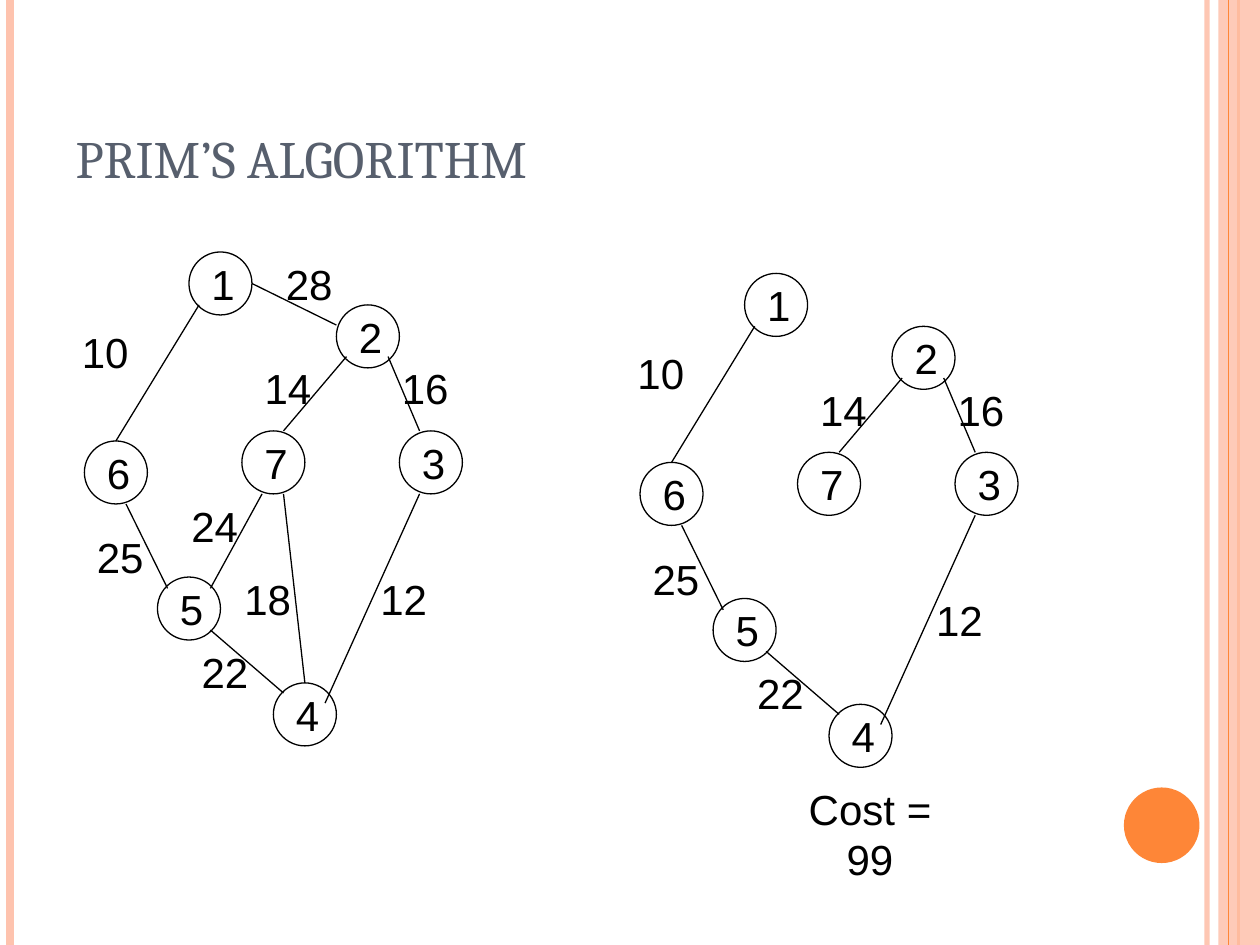
from dataclasses import dataclass

from lxml import etree
from pptx import Presentation
from pptx.dml.color import RGBColor
from pptx.enum.shapes import MSO_CONNECTOR, MSO_SHAPE
from pptx.enum.text import MSO_ANCHOR, MSO_AUTO_SIZE, PP_ALIGN
from pptx.oxml.ns import qn
from pptx.util import Inches, Pt

STRAIGHT = MSO_CONNECTOR.STRAIGHT
OVAL, RECT = MSO_SHAPE.OVAL, MSO_SHAPE.RECTANGLE
BOTTOM = MSO_ANCHOR.BOTTOM
FIT_SHAPE, NO_FIT = MSO_AUTO_SIZE.SHAPE_TO_FIT_TEXT, MSO_AUTO_SIZE.NONE
LEFT, CENTER = PP_ALIGN.LEFT, PP_ALIGN.CENTER


@dataclass(frozen=True)
class Theme:
    ink: str = "000000"
    title: str = "575F6D"
    accent: str = "FE8637"
    pale: str = "FEC3AE"
    title_font: str = "Cambria"
    body_font: str = "Arial"
    title_size: int = 30
    body_size: int = 24
    edge_width: float = 0.75


THEME = Theme()
NODE = 0.5
LABEL_H = 0.5
DIGIT_W, WEIGHT_W, COST_W = 0.38, 0.57, 1.63
DIGIT_SHIFT = 0.08

# Vertex: left, top of its circle within the graph's box
NODES = {
    "1": (0.83, 0), "2": (2, 0.42), "7": (1.25, 1.42), "3": (2.5, 1.42),
    "4": (1.5, 3.42), "5": (0.58, 2.58), "6": (0, 1.5),
}
# Weight: start, end, and left top of its label within the graph's box
EDGES = {
    "10": ((0.91, 0.42), (0.25, 1.5), (-0.12, 0.54)),
    "25": ((0.33, 2), (0.66, 2.67), (0, 2.17)),
    "22": ((1, 3), (1.58, 3.5), (0.83, 3.08)),
    "24": ((1.41, 1.92), (1, 2.67), (0.75, 1.92)),
    "18": ((1.58, 1.92), (1.75, 3.42), (1.17, 2.5)),
    "14": ((2.08, 0.83), (1.58, 1.42), (1.33, 0.83)),
    "12": ((2.66, 1.92), (1.91, 3.58), (2.25, 2.5)),
    "16": ((2.41, 0.83), (2.66, 1.42), (2.42, 0.83)),
    "28": ((1.33, 0.25), (2, 0.58), (1.5, 0)),
}
TREE = ("10", "25", "22", "12", "16", "14")


def set_alpha(parent, percent):
    """Make the solid colour below parent partly transparent."""
    color = parent.find(".//" + qn("a:srgbClr"))
    etree.SubElement(color, qn("a:alpha")).set("val", str(percent * 1000))


def add_line(s, start, end, color, width):
    line = s.shapes.add_connector(STRAIGHT, *map(Inches, start + end))
    line.line.color.rgb = RGBColor.from_string(color)
    line.line.width = Pt(width)
    etree.SubElement(line.element.spPr, qn("a:effectLst"))
    return line


def add_plain_shape(s, kind, x, y, w, h, fill=None):
    """Add a shape with no shadow and no line, filled only if a colour is given."""
    sp = s.shapes.add_shape(kind, *map(Inches, (x, y, w, h)))
    sp.shadow.inherit = False
    sp.line.fill.background()
    if fill:
        sp.fill.solid()
        sp.fill.fore_color.rgb = RGBColor.from_string(fill)
    else:
        sp.fill.background()
    return sp


def style_text(tf, align, font, size, color):
    p = tf.paragraphs[0]
    p.alignment = align
    r = p.runs[0]
    r.font.name = font
    r.font.size = Pt(size)
    r.font.color.rgb = RGBColor.from_string(color)


def add_label(s, text, x, y, w):
    tf = s.shapes.add_textbox(*map(Inches, (x, y, w, LABEL_H))).text_frame
    tf.text = text
    tf.word_wrap = False
    tf.auto_size = FIT_SHAPE
    style_text(tf, CENTER, THEME.body_font, THEME.body_size, THEME.ink)


def add_frame(s, w, h):
    """Draw the stripes at both sides and the disc at the lower right."""
    def stripe(x, color, width):
        return add_line(s, (x, 0), (x, h), color, width)

    inner = stripe(w - 0.42, THEME.pale, 3)
    set_alpha(inner.element.spPr, 93)
    stripe(0.08, THEME.pale, 4.5)
    stripe(w - 0.17, THEME.accent, 1.5)
    band = add_plain_shape(s, RECT, w - 0.33, 0, 0.33, h, THEME.pale)
    set_alpha(band.element.spPr, 87)
    stripe(w - 0.25, THEME.accent, 0.75)
    add_plain_shape(s, OVAL, w - 1.08, h - 1.25, 0.6, 0.6, THEME.accent)


def set_title(s, text, x, y, w, h):
    title = s.shapes.title
    title.left, title.top, title.width, title.height = map(Inches, (x, y, w, h))
    tf = title.text_frame
    tf.text = text
    tf.vertical_anchor = BOTTOM
    tf.auto_size = NO_FIT
    style_text(tf, LEFT, THEME.title_font, THEME.title_size, THEME.title)


def add_graph(s, x, y, weights):
    """Draw all vertices, and the edges that have the given weights."""
    for name, (dx, dy) in NODES.items():
        circle = add_plain_shape(s, OVAL, x + dx, y + dy, NODE, NODE)
        circle.line.color.rgb = RGBColor.from_string(THEME.ink)
        circle.line.width = Pt(THEME.edge_width)
        add_label(s, name, x + dx + DIGIT_SHIFT, y + dy, DIGIT_W)
    for weight in weights:
        start, end, label = ((x + dx, y + dy) for dx, dy in EDGES[weight])
        add_line(s, start, end, THEME.ink, THEME.edge_width)
        add_label(s, weight, *label, WEIGHT_W)


def main():
    prs = Presentation()
    w, h = 10, 7.5
    prs.slide_width, prs.slide_height = Inches(w), Inches(h)
    s = prs.slides.add_slide(prs.slide_layouts.get_by_name("Title Only"))
    add_frame(s, w, h)
    set_title(s, "PRIM’S ALGORITHM", 0.5, 0.3, 8.17, 1.25)
    add_graph(s, 0.67, 2, EDGES)
    add_graph(s, 5.08, 2.17, TREE)
    add_label(s, "Cost = 99", 6.09, 6.17, COST_W)
    prs.save("out.pptx")


if __name__ == "__main__":
    main()
